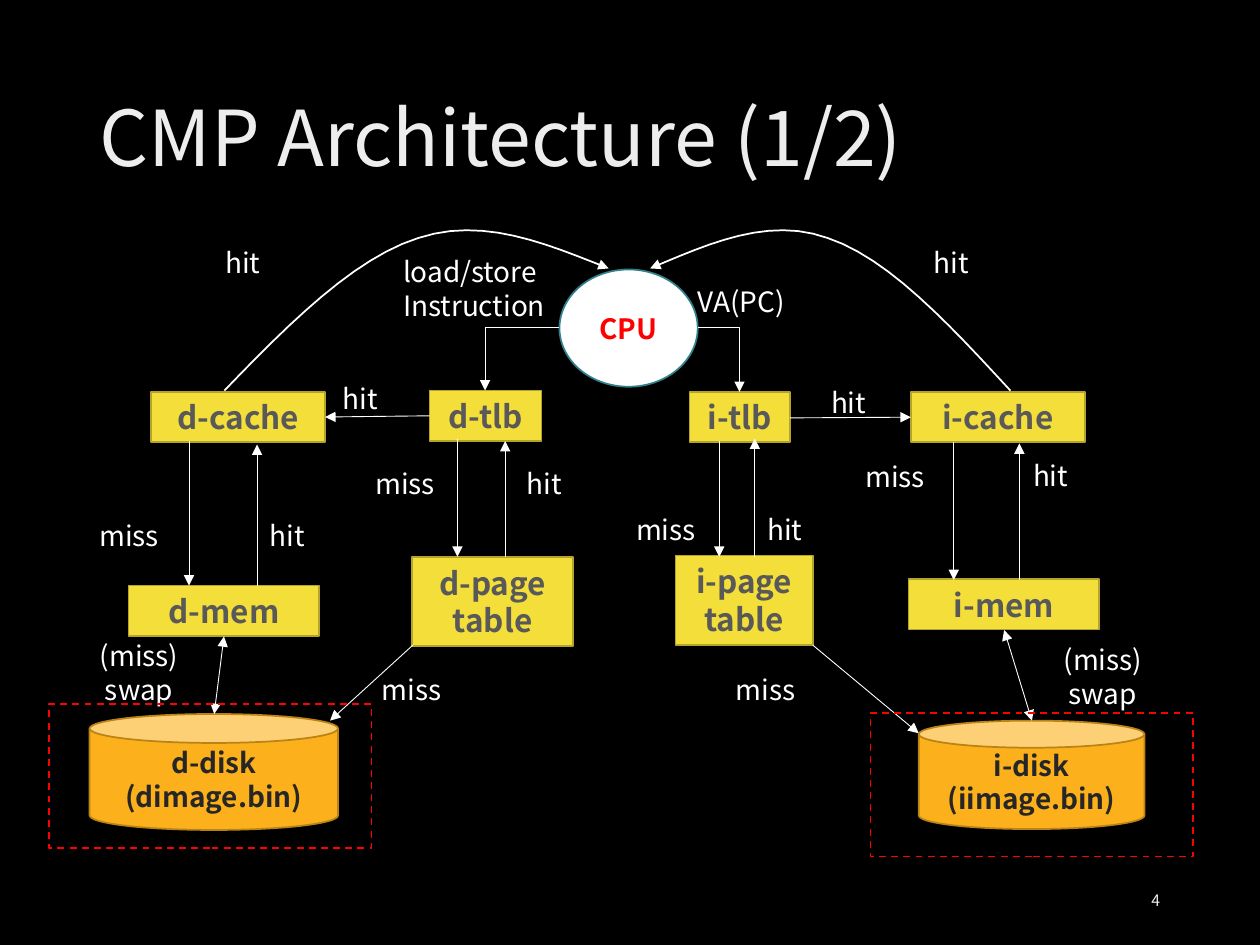
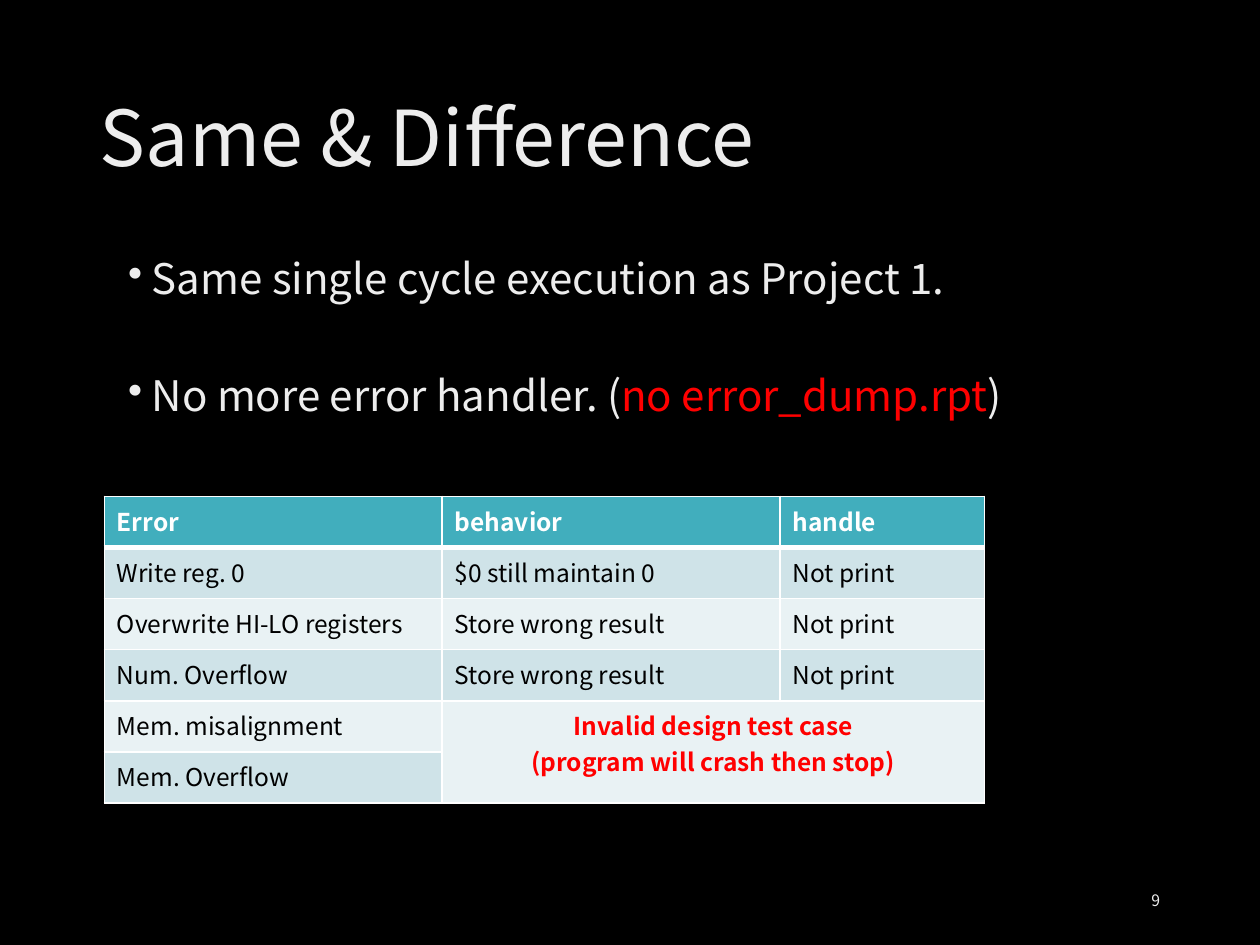
from dataclasses import dataclass

from lxml import etree
from pptx import Presentation, util as u
from pptx.dml.color import RGBColor
from pptx.enum import dml, shapes, text
from pptx.oxml.ns import qn


@dataclass(frozen=True)
class Theme:
    font: str = "Noto Sans CJK SC"
    table_font: str = "Noto Sans CJK TC"
    black: str = "000000"
    white: str = "FFFFFF"
    light: str = "EDEDED"
    red: str = "FF0000"
    teal: str = "41AEBD"
    teal_edge: str = "30818C"
    bands: tuple = ("CFE3E8", "E9F2F4")
    yellow: str = "F4DE3A"
    yellow_edge: str = "B5A42B"
    orange: str = "FCB11C"
    orange_edge: str = "BA8315"
    unit_text: str = "595959"
    disk_text: str = "262626"
    title_size: int = 44
    body_size: int = 24
    unit_size: int = 18
    label_size: int = 16
    table_size: int = 14
    number_size: int = 9


def rgb(color):
    return RGBColor.from_string(color)


def points(*lengths):
    return [u.Pt(length) for length in lengths]


def bezier(p0, p1, p2, p3, steps=12):
    for step in range(1, steps + 1):
        t = step / steps
        s = 1 - t
        yield tuple(u.Pt(s**3 * a + 3 * s * s * t * b + 3 * s * t * t * c + t**3 * d)
                    for a, b, c, d in zip(p0, p1, p2, p3))


class Deck:
    def __init__(self, theme):
        self.theme = theme
        self.deck = Presentation()
        self.deck.slide_width, self.deck.slide_height = points(720, 540)
        self.slide = None

    def new_slide(self, title, number):
        t = self.theme
        self.slide = self.deck.slides.add_slide(self.deck.slide_layouts[6])
        self.slide.background.fill.solid()
        self.slide.background.fill.fore_color.rgb = rgb(t.black)
        heading = self.text(title, (50, 29, 620, 104), t.title_size, t.light,
                            anchor=text.MSO_ANCHOR.MIDDLE)
        heading.paragraphs[0].line_spacing = 0.9
        self.text(str(number), (508, 500, 162, 29), t.number_size, t.light,
                  text.PP_ALIGN.RIGHT, text.MSO_ANCHOR.MIDDLE)

    def style(self, paragraph, size, color, bold=False, align=None, font=None):
        paragraph.alignment = align
        paragraph.font.name = font or self.theme.font
        paragraph.font.size = u.Pt(size)
        paragraph.font.bold = bold
        paragraph.font.color.rgb = rgb(color)

    def set_lines(self, frame, wording, *look, **options):
        for index, line in enumerate(wording.split("\n")):
            paragraph = frame.add_paragraph() if index else frame.paragraphs[0]
            paragraph.add_run().text = line
            self.style(paragraph, *look, **options)

    def text(self, wording, box, size, color, align=None, anchor=text.MSO_ANCHOR.TOP):
        frame = self.slide.shapes.add_textbox(*points(*box)).text_frame
        frame.word_wrap = True
        frame.vertical_anchor = anchor
        self.set_lines(frame, wording, size, color, align=align)
        return frame

    def label(self, wording, left, top, width=76, align=None):
        self.text(wording, (left, top, width, 27), self.theme.label_size,
                  self.theme.white, align)

    def shape(self, kind, box, fill, edge, wording="", size=None, color=None):
        shape = self.slide.shapes.add_shape(kind, *points(*box))
        shape.shadow.inherit = False
        if fill:
            shape.fill.solid()
            shape.fill.fore_color.rgb = rgb(fill)
        else:
            shape.fill.background()
        shape.line.color.rgb = rgb(edge)
        shape.line.width = u.Pt(1)
        if wording:
            self.set_lines(shape.text_frame, wording, size, color, bold=True,
                           align=text.PP_ALIGN.CENTER)
        return shape

    def unit(self, wording, *box):
        t = self.theme
        self.shape(shapes.MSO_SHAPE.RECTANGLE, box, t.yellow, t.yellow_edge,
                   wording, t.unit_size, t.unit_text)

    def disk(self, wording, *box):
        t = self.theme
        self.shape(shapes.MSO_SHAPE.CAN, box, t.orange, t.orange_edge,
                   wording, t.label_size, t.disk_text)

    def frame(self, *box):
        outline = self.shape(shapes.MSO_SHAPE.RECTANGLE, box, None, self.theme.red)
        outline.line.dash_style = dml.MSO_LINE.DASH

    def arrow_line(self, stroke, width, both=False):
        stroke.line.color.rgb = rgb(self.theme.white)
        stroke.line.width = u.Pt(width)
        outline = stroke._element.spPr.find(qn("a:ln"))
        for end in ("a:headEnd", "a:tailEnd")[0 if both else 1:]:
            etree.SubElement(outline, qn(end), type="triangle")

    def arrow(self, x1, y1, x2, y2, both=False, bent=False):
        kind = shapes.MSO_CONNECTOR.ELBOW if bent else shapes.MSO_CONNECTOR.STRAIGHT
        connector = self.slide.shapes.add_connector(kind, *points(x1, y1, x2, y2))
        properties = connector._element.spPr
        if bent:
            properties.find(qn("a:prstGeom")).set("prst", "bentConnector2")
        self.arrow_line(connector, 0.5, both)
        etree.SubElement(properties, qn("a:effectLst"))

    def curve(self, start, *segments):
        builder = self.slide.shapes.build_freeform(*points(*start))
        for segment in segments:
            builder.add_line_segments(list(bezier(start, *segment)), close=False)
            start = segment[-1]
        arc = builder.convert_to_shape()
        arc.shadow.inherit = False
        arc.fill.background()
        self.arrow_line(arc, 1)

    def bullets(self, box, items):
        t = self.theme
        frame = self.slide.shapes.add_textbox(*points(*box)).text_frame
        frame.word_wrap = True
        for index, (gap, runs) in enumerate(items):
            paragraph = frame.add_paragraph() if index else frame.paragraphs[0]
            self.style(paragraph, t.body_size, t.light)
            paragraph.line_spacing = 0.9
            paragraph.space_before = u.Pt(gap)
            for wording, color in runs:
                run = paragraph.add_run()
                run.text = wording
                if color:
                    run.font.color.rgb = rgb(color)
            properties = paragraph._p.get_or_add_pPr()
            properties.set("marL", str(u.Pt(13.5)))
            properties.set("indent", str(-u.Pt(13.5)))
            bullet = etree.Element(qn("a:buChar"), char="•")
            properties.find(qn("a:defRPr")).addprevious(bullet)

    def cell(self, cell, fill, bottom=1, top=1):
        properties = cell._tc.get_or_add_tcPr()
        for side, width in (("L", 1), ("R", 1), ("T", top), ("B", bottom)):
            border = etree.SubElement(properties, qn(f"a:ln{side}"), w=str(u.Pt(width)))
            paint = etree.SubElement(border, qn("a:solidFill"))
            etree.SubElement(paint, qn("a:srgbClr"), val=self.theme.white)
        cell.fill.solid()
        cell.fill.fore_color.rgb = rgb(fill)

    def table(self, left, top, widths, row_height, rows):
        t = self.theme
        table = self.slide.shapes.add_table(
            len(rows), len(widths),
            *points(left, top, sum(widths), row_height * len(rows))).table
        for column, width in zip(table.columns, widths):
            column.width = u.Pt(width)
        for r, wordings in enumerate(rows):
            table.rows[r].height = u.Pt(row_height)
            header = r == 0
            for c in range(len(widths)):
                self.cell(table.cell(r, c), t.teal if header else t.bands[(r - 1) % 2],
                          bottom=3 if header else 1, top=3 if r == 1 else 1)
            for c, wording in enumerate(wordings):
                self.set_lines(table.cell(r, c).text_frame, wording, t.table_size,
                               t.white if header else t.black, bold=header,
                               font=t.table_font)
        return table


def architecture(deck):
    t = deck.theme
    deck.new_slide("CMP Architecture (1/2)", 4)
    deck.shape(shapes.MSO_SHAPE.OVAL, (319.7, 154, 79, 67), t.white, t.teal_edge,
               "CPU", t.label_size, t.red)

    for unit in (
        ("d-cache", 86.4, 224, 99.4, 28.8), ("i-cache", 520.5, 224, 99.4, 28.8),
        ("d-tlb", 245.5, 223.2, 64, 28.8), ("i-tlb", 394, 224, 57.6, 28.8),
        ("d-mem", 73.5, 334.6, 109, 28.8), ("i-mem", 519.2, 331, 109, 28.8),
        ("d-page\ntable", 235.4, 318.2, 92.2, 51), ("i-page\ntable", 386, 317.4, 78.5, 51),
    ):
        deck.unit(*unit)
    deck.disk("d-disk\n(dimage.bin)", 51.2, 408, 142, 66.3)
    deck.disk("i-disk\n(iimage.bin)", 525, 411.8, 129, 62)

    deck.arrow(319.7, 187.2, 277.2, 223.2, bent=True)
    deck.arrow(398.9, 187.2, 422.6, 224, bent=True)
    for ends in (
        (245.5, 237.6, 185.8, 238.3), (451.4, 238.8, 520.5, 238.4),
        (108, 252, 108, 334.6), (146.9, 334.6, 146.9, 254),
        (261.4, 250.6, 261.4, 318.2), (288.7, 318.2, 288.7, 252),
        (411, 252, 411, 318.2), (431.3, 318.2, 431.3, 250.6),
        (545, 252.7, 545, 331.5), (582.5, 331.2, 582.5, 253.4),
        (236, 368.6, 188.6, 411.8), (464.4, 368.6, 525, 419),
    ):
        deck.arrow(*ends)
    deck.arrow(128, 363.6, 122.4, 408, both=True)
    deck.arrow(573.8, 360, 589.7, 411.8, both=True)
    deck.curve((128.2, 223.2), ((165, 185), (202.3, 147.6), (239, 136)),
               ((275.8, 123.8), (311.8, 139), (347.8, 153.4)))
    deck.curve((577.4, 223.2), ((542.2, 185), (507.6, 147.6), (473, 136)),
               ((439.2, 123.8), (405.4, 139), (371.5, 153.4)))

    for wording, *places in (
        ("hit", (121.7, 137), (526.3, 137), (188.6, 214.6), (467.8, 216.7),
         (293.8, 262.8), (583.2, 258.5), (146.9, 293), (431.3, 289.4)),
        ("miss", (207.4, 262.8), (487.4, 259.2), (49.6, 293), (356.4, 289.4),
         (211, 381), (413.3, 381)),
        ("VA(PC)", (391.7, 159)),
        ("load/store\nInstruction", (223.2, 142, 104)),
        ("(miss)\nswap", (30.2, 361.4, 98.6, text.PP_ALIGN.CENTER),
         (581, 363.6, 98.6, text.PP_ALIGN.CENTER)),
    ):
        for place in places:
            deck.label(wording, *place)
    deck.frame(28, 402.5, 184.3, 82)
    deck.frame(497.5, 407.5, 184.3, 82)


def differences(deck):
    t = deck.theme
    deck.new_slide("Same & Difference", 9)
    deck.bullets((66.2, 144, 604, 343), (
        (7.5, [("Same single cycle execution as Project 1.", None)]),
        (41, [("No more error handler. (", None), ("no error_dump.rpt", t.red),
              (")", None)]),
    ))
    errors = deck.table(59.6, 283.7, (193, 193, 117), 29.2, (
        ("Error", "behavior", "handle"),
        ("Write reg. 0", "$0 still maintain 0", "Not print"),
        ("Overwrite HI-LO registers", "Store wrong result", "Not print"),
        ("Num. Overflow", "Store wrong result", "Not print"),
        ("Mem. misalignment",),
        ("Mem. Overflow",),
    ))
    crash = errors.cell(4, 1)
    crash.merge(errors.cell(5, 2))
    deck.set_lines(crash.text_frame,
                   "Invalid design test case\n(program will crash then stop)",
                   t.table_size, t.red, bold=True, align=text.PP_ALIGN.CENTER,
                   font=t.table_font)


def main():
    deck = Deck(Theme())
    architecture(deck)
    differences(deck)
    deck.deck.save("out.pptx")


if __name__ == "__main__":
    main()
